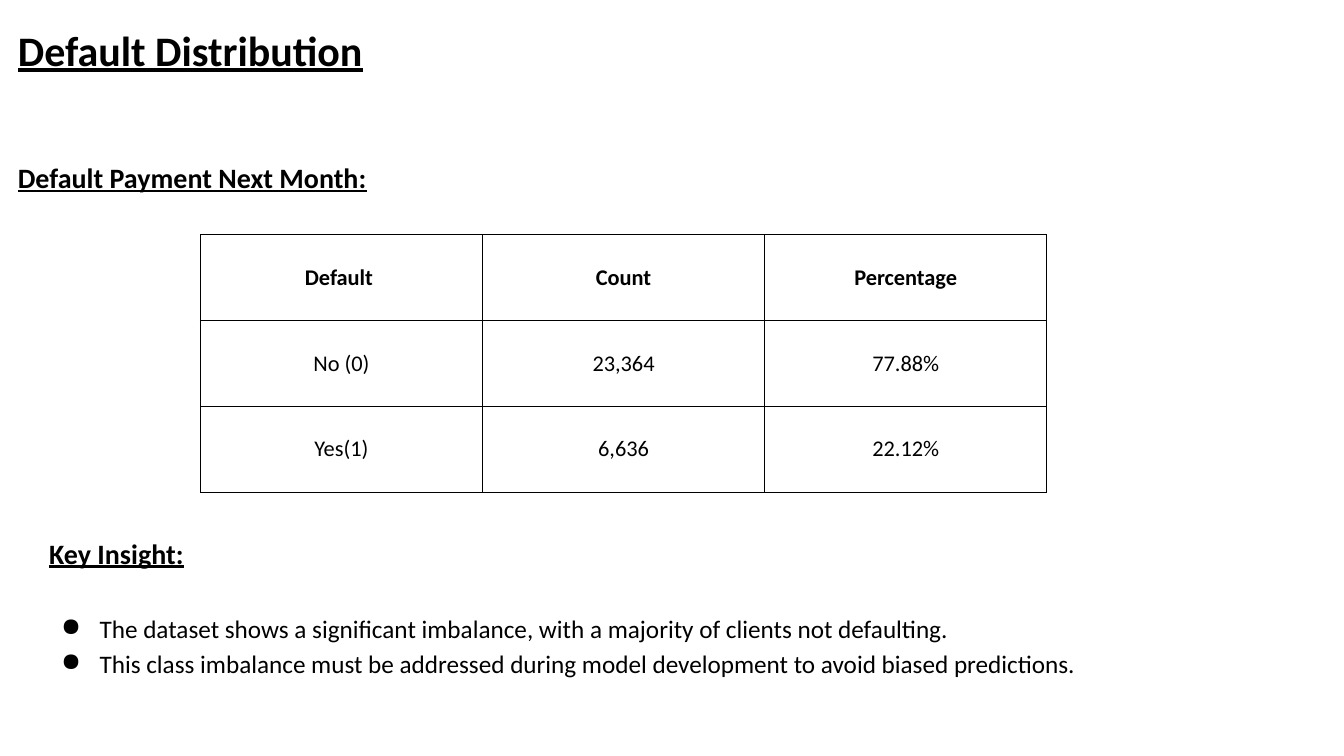
from dataclasses import dataclass

from lxml.etree import SubElement
from pptx import Presentation
from pptx.dml.color import RGBColor
from pptx.enum.text import MSO_ANCHOR, PP_ALIGN
from pptx.oxml.ns import qn
from pptx.util import Cm, Pt

BLACK = RGBColor(0x00, 0x00, 0x00)
FONT_NAME = "Calibri"
INSET = Cm(0.25)
ROW_HEIGHT = Cm(2.16)
COLUMN_WIDTH = Cm(7.11)
BORDER_WIDTH = Pt(0.75)


@dataclass(frozen=True)
class Line:
    text: str
    size: float
    heading: bool = True
    spacing: float = 1.15
    space_after: float = 0


@dataclass(frozen=True)
class Block:
    left: float
    top: float
    width: float
    height: float
    lines: tuple[Line, ...]


BLOCKS = (
    Block(0.2, 0.36, 24.66, 2.84, (Line("Default Distribution", 30, spacing=1),)),
    Block(0.2, 3.66, 16.15, 1.04, (Line("Default Payment Next Month:", 20),)),
    Block(0.99, 13.13, 27.76, 4.37, (
        Line("Key Insight:", 20, space_after=28),
        Line("The dataset shows a significant imbalance, with a majority of "
             "clients not defaulting.", 18, heading=False),
        Line("This class imbalance must be addressed during model development "
             "to avoid biased predictions.", 18, heading=False),
    )),
)

DEFAULT_COUNTS = (
    ("Default ", "Count", "Percentage"),
    ("No (0)", "23,364", "77.88%"),
    ("Yes(1)", "6,636", "22.12%"),
)


def set_font(paragraph, size: float, bold: bool, underline: bool = False) -> None:
    font = paragraph.font
    font.name = FONT_NAME
    font.size = Pt(size)
    font.bold = bold
    font.underline = underline
    font.color.rgb = BLACK


def add_bullet(paragraph) -> None:
    properties = paragraph._p.get_or_add_pPr()
    properties.set("marL", str(Cm(1.27)))
    properties.set("indent", str(-Cm(0.97)))
    bullet_color = SubElement(properties, qn("a:buClr"))
    SubElement(bullet_color, qn("a:srgbClr"), val=str(BLACK))
    SubElement(properties, qn("a:buChar"), char="●")


def set_insets(holder) -> None:
    holder.margin_left = holder.margin_right = INSET
    holder.margin_top = holder.margin_bottom = INSET


def add_block(slide, block: Block) -> None:
    frame = slide.shapes.add_textbox(
        Cm(block.left), Cm(block.top), Cm(block.width), Cm(block.height)
    ).text_frame
    frame.word_wrap = True
    set_insets(frame)
    for index, line in enumerate(block.lines):
        paragraph = frame.add_paragraph() if index else frame.paragraphs[0]
        paragraph.text = line.text
        paragraph.line_spacing = line.spacing
        paragraph.space_after = Pt(line.space_after)
        if not line.heading:
            add_bullet(paragraph)
        set_font(paragraph, line.size, line.heading, line.heading)


def add_borders(cell) -> None:
    properties = cell._tc.get_or_add_tcPr()
    for side in ("lnL", "lnR", "lnT", "lnB"):
        border = SubElement(properties, qn(f"a:{side}"), w=str(BORDER_WIDTH))
        fill = SubElement(border, qn("a:solidFill"))
        SubElement(fill, qn("a:srgbClr"), val=str(BLACK))


def add_default_table(slide) -> None:
    row_count, column_count = len(DEFAULT_COUNTS), len(DEFAULT_COUNTS[0])
    table = slide.shapes.add_table(
        row_count, column_count, Cm(5.05), Cm(5.92),
        COLUMN_WIDTH * column_count, ROW_HEIGHT * row_count,
    ).table
    table.horz_banding = False
    for row_index, values in enumerate(DEFAULT_COUNTS):
        for column_index, value in enumerate(values):
            cell = table.cell(row_index, column_index)
            add_borders(cell)
            cell.fill.background()
            cell.vertical_anchor = MSO_ANCHOR.MIDDLE
            set_insets(cell)
            paragraph = cell.text_frame.paragraphs[0]
            paragraph.text = value
            paragraph.alignment = PP_ALIGN.CENTER
            set_font(paragraph, 16, bold=row_index == 0)


def main() -> None:
    presentation = Presentation()
    presentation.slide_width = Cm(33.87)
    presentation.slide_height = Cm(19.05)
    slide = presentation.slides.add_slide(presentation.slide_layouts[6])
    for block in BLOCKS:
        add_block(slide, block)
    add_default_table(slide)
    presentation.save("out.pptx")


if __name__ == "__main__":
    main()
